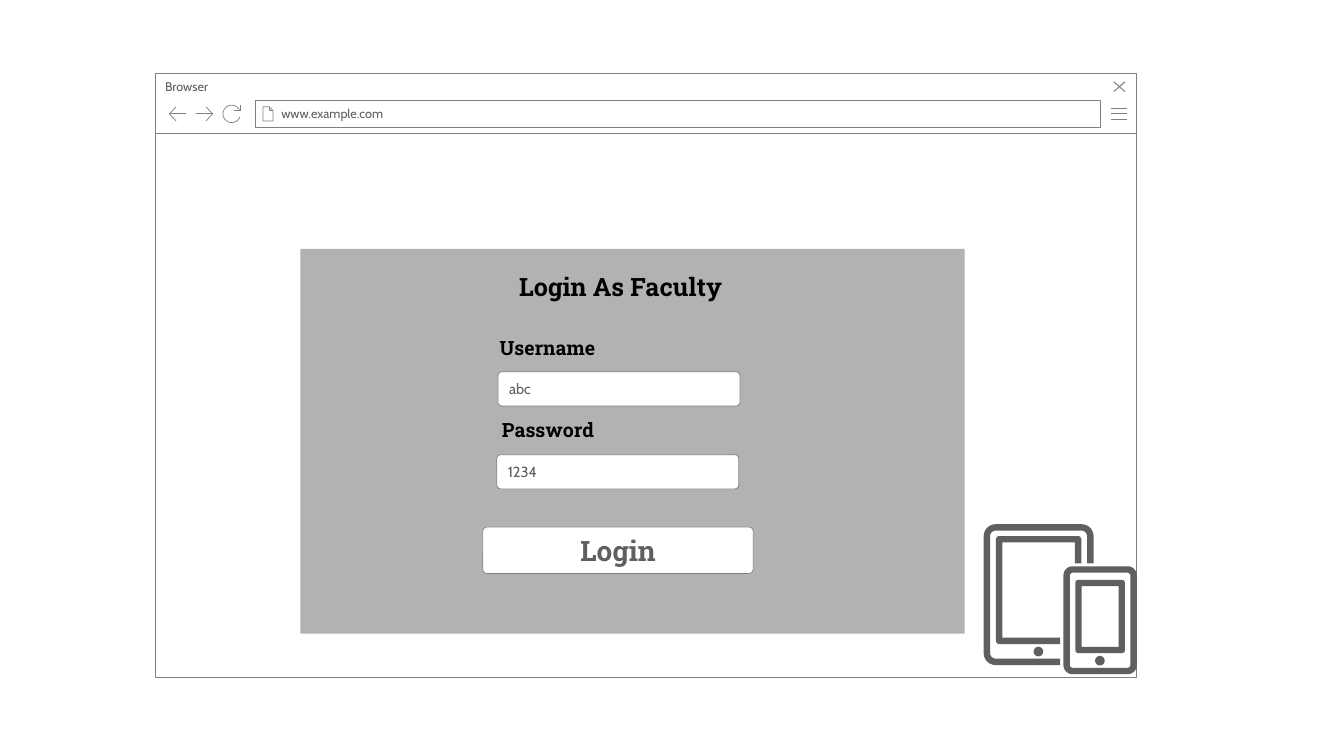
"""Build a browser wireframe slide with a faculty login form."""
from dataclasses import dataclass
from math import cos, hypot, radians, sin

from lxml.etree import SubElement
from pptx import Presentation
from pptx.dml.color import RGBColor
from pptx.enum.shapes import MSO_SHAPE
from pptx.enum.text import MSO_ANCHOR, PP_ALIGN
from pptx.oxml.ns import qn
from pptx.util import Cm, Pt


@dataclass(frozen=True)
class Theme:
    """Colours, fonts and type sizes of the slide."""
    white: RGBColor = RGBColor(0xFF, 0xFF, 0xFF)
    black: RGBColor = RGBColor(0x00, 0x00, 0x00)
    line: RGBColor = RGBColor(0x80, 0x80, 0x80)
    ink: RGBColor = RGBColor(0x5F, 0x5F, 0x5F)
    body_font: str = "Cabin"
    heading_font: str = "Roboto Slab"
    chrome_size: float = 9
    field_size: float = 10.5
    label_size: float = 14
    title_size: float = 18
    button_size: float = 20
    hairline: float = 0.5


def rounded(corners):
    """Return the outline through (x, y, radius) corners, with arcs at the corners."""
    points = []
    for index, (x, y, radius) in enumerate(corners):
        if not radius:
            points.append((x, y))
            continue
        directions = []
        for other in (corners[index - 1], corners[(index + 1) % len(corners)]):
            dx, dy = other[0] - x, other[1] - y
            length = hypot(dx, dy)
            directions.append((dx / length, dy / length))
        (ux, uy), (wx, wy) = directions
        for degrees in range(0, 91, 15):
            c, s = 1 - cos(radians(degrees)), 1 - sin(radians(degrees))
            points.append((x + radius * (ux * s + wx * c), y + radius * (uy * s + wy * c)))
    return points


def frame(left, top, right, bottom, radius, inner_radius, band=0.16):
    """Return the outer and inner outlines of a closed frame."""
    return [rounded([(left + inset, top + inset, r), (right - inset, top + inset, r),
                     (right - inset, bottom - inset, r), (left + inset, bottom - inset, r)])
            for inset, r in ((0, radius), (band, inner_radius))]


def cut_frame(left, top, right, bottom, radius, inner_radius, cut_x, cut_y, band=0.16):
    """Return the outline of a frame whose lower right part is cut away."""
    sides = [[(cut_x, bottom - inset, 0), (left + inset, bottom - inset, r),
              (left + inset, top + inset, r), (right - inset, top + inset, r),
              (right - inset, cut_y, 0)]
             for inset, r in ((0, radius), (band, inner_radius))]
    return rounded(sides[0] + sides[1][::-1])


def arc(x, y, radius, first, last):
    """Return points on an arc, with angles in degrees running clockwise."""
    return [(x + radius * cos(radians(angle)), y + radius * sin(radians(angle)))
            for angle in range(first, last + 1, 12)]


class WireframeSlide:
    """Draws wireframe elements on one slide, with lengths in centimetres."""

    def __init__(self, slide, theme):
        """Keep the slide and its theme."""
        self.slide = slide
        self.theme = theme
        self.shapes = slide.shapes

    def put_text(self, shape, text, size, color, font=None, bold=False,
                 align=PP_ALIGN.LEFT, anchor=MSO_ANCHOR.TOP, wrap=True, insets=(0.25, 0.13, 0.25, 0.13)):
        """Put one run of text in a shape."""
        area = shape.text_frame
        area.word_wrap = wrap
        area.vertical_anchor = anchor
        area.margin_left, area.margin_top, area.margin_right, area.margin_bottom = map(Cm, insets)
        paragraph = area.paragraphs[0]
        paragraph.alignment = align
        run = paragraph.add_run()
        run.text = text
        run.font.name = font or self.theme.body_font
        run.font.size = Pt(size)
        run.font.bold = bold
        run.font.color.rgb = color

    def box(self, *place, corner=None):
        """Add a white outlined box, rounded when a corner radius is given."""
        kind = MSO_SHAPE.ROUNDED_RECTANGLE if corner else MSO_SHAPE.RECTANGLE
        shape = self.shapes.add_shape(kind, *map(Cm, place))
        if corner:
            shape.adjustments[0] = corner / place[3]
        shape.shadow.inherit = False
        shape.fill.solid()
        shape.fill.fore_color.rgb = self.theme.white
        shape.line.color.rgb = self.theme.line
        shape.line.width = Pt(self.theme.hairline)
        return shape

    def panel(self, *place, opacity):
        """Add a see-through grey panel."""
        shape = self.box(*place)
        shape.fill.fore_color.rgb = self.theme.line
        shape.line.fill.background()
        color = shape.element.spPr.find(qn("a:solidFill"))[0]
        SubElement(color, qn("a:alpha")).set("val", str(opacity * 1000))

    def outline(self, contours, close):
        """Add a freeform made of several contours."""
        builder = self.shapes.build_freeform(*map(Cm, contours[0][0]))
        for number, contour in enumerate(contours):
            points = [(Cm(x), Cm(y)) for x, y in contour]
            if number:
                builder.move_to(*points[0])
            builder.add_line_segments(points[1:], close=close)
        shape = builder.convert_to_shape()
        shape.shadow.inherit = False
        return shape

    def icon(self, *strokes, width=None):
        """Add a line icon."""
        shape = self.outline(strokes, close=False)
        shape.fill.background()
        shape.line.color.rgb = self.theme.line
        shape.line.width = Pt(width or self.theme.hairline)

    def silhouette(self, contours):
        """Add a filled icon without a line."""
        shape = self.outline(contours, close=True)
        shape.fill.solid()
        shape.fill.fore_color.rgb = self.theme.ink
        shape.line.fill.background()

    def label(self, text, *place):
        """Add a bold form label."""
        shape = self.shapes.add_textbox(*map(Cm, place))
        self.put_text(shape, text, self.theme.label_size, self.theme.black,
                      self.theme.heading_font, bold=True, wrap=False)

    def field(self, text, *place):
        """Add a rounded input field."""
        self.put_text(self.box(*place, corner=0.1), text, self.theme.field_size, self.theme.ink,
                      anchor=MSO_ANCHOR.MIDDLE, insets=(0.25, 0.18, 0.25, 0.18))

    def button(self, text, *place):
        """Add a rounded button."""
        self.put_text(self.box(*place, corner=0.1), text, self.theme.button_size, self.theme.ink,
                      self.theme.heading_font, bold=True, align=PP_ALIGN.CENTER, anchor=MSO_ANCHOR.MIDDLE)

    def title(self, text, *place):
        """Move the title placeholder to the front and fill it."""
        title = self.slide.shapes.title
        title.left, title.top, title.width, title.height = map(Cm, place)
        self.put_text(title, text, self.theme.title_size, self.theme.black,
                      self.theme.heading_font, bold=True, wrap=False)
        title.element.getparent().append(title.element)

    def browser(self):
        """Add the browser window as one group."""
        self.shapes = self.slide.shapes.add_group_shape().shapes
        self.box(3.91, 3.35, 24.74, 13.72)
        self.put_text(self.box(3.91, 1.85, 24.74, 1.5), "Browser", self.theme.chrome_size,
                      self.theme.ink, insets=(0.25, 0.13, 0.64, 0.13))
        self.icon(*[[(27.99, y), (28.4, y)] for y in (3.02, 2.87, 2.72)])
        self.icon([(28.35, 2.06), (28.07, 2.31)], [(28.07, 2.06), (28.35, 2.31)], width=0.75)
        self.put_text(self.box(6.43, 2.54, 21.31, 0.66), "www.example.com", self.theme.chrome_size,
                      self.theme.ink, anchor=MSO_ANCHOR.MIDDLE, insets=(0.66, 0.13, 0.25, 0.13))
        self.icon([(6.78, 2.69), (6.78, 2.79), (6.88, 2.79)],
                  [(6.78, 2.69), (6.63, 2.69), (6.63, 3.05), (6.88, 3.05), (6.88, 2.79), (6.78, 2.69)])
        for tip, head, tail in ((4.27, 4.44, 4.7), (5.36, 5.19, 4.93)):
            self.icon([(head, 2.69), (tip, 2.87), (head, 3.05)], [(tip, 2.87), (tail, 2.87)])
        self.icon([(6.05, 2.64), (6.05, 2.77), (5.89, 2.77)], arc(5.84, 2.87, 0.22, 20, 332))
        self.shapes = self.slide.shapes

    def devices(self):
        """Add the tablet and phone icon."""
        buttons = [arc(x, y, 0.12, 0, 348) for x, y in ((26.17, 16.42), (27.72, 16.65))]
        self.silhouette([cut_frame(24.79, 13.21, 27.56, 16.76, 0.3, 0.15, 26.72, 14.2),
                         cut_frame(25.1, 13.51, 27.25, 16.23, 0.08, 0, 26.72, 14.2),
                         *frame(26.8, 14.27, 28.65, 16.99, 0.23, 0.08),
                         *frame(27.1, 14.61, 28.35, 16.46, 0.08, 0), *buttons])


def main():
    """Build and save the presentation."""
    presentation = Presentation()
    presentation.slide_width, presentation.slide_height = Cm(33.87), Cm(19.05)
    page = WireframeSlide(presentation.slides.add_slide(presentation.slide_layouts[5]), Theme())
    page.browser()
    page.devices()
    page.panel(7.57, 6.27, 16.74, 9.7, opacity=60)
    page.button("Login", 12.17, 13.28, 6.81, 1.17)
    page.label("Username", 12.34, 8.33, 3.02, 0.86)
    page.label("Password", 12.4, 10.41, 2.84, 0.86)
    page.field("abc", 12.55, 9.37, 6.1, 0.86)
    page.field("1234", 12.52, 11.46, 6.1, 0.86)
    page.title("Login As Faculty", 12.83, 6.71, 5.74, 1.02)
    presentation.save("out.pptx")


if __name__ == "__main__":
    main()
